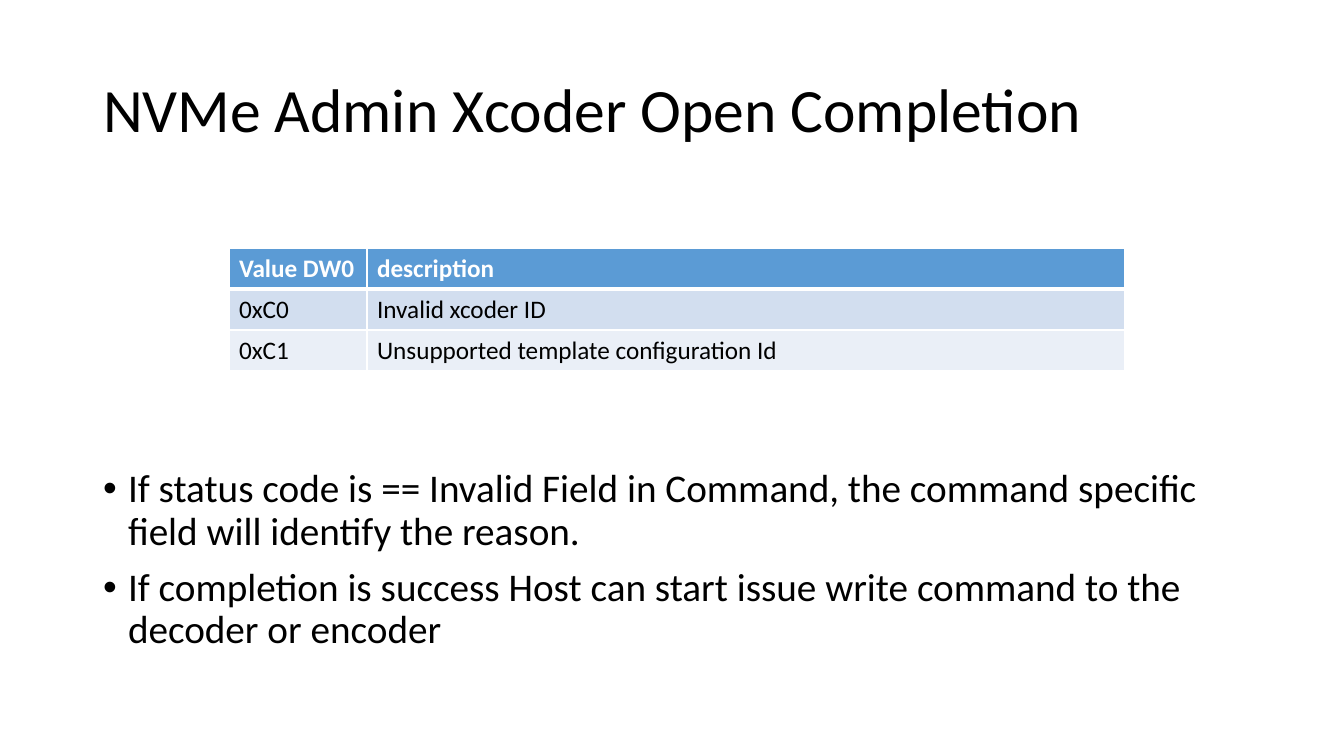
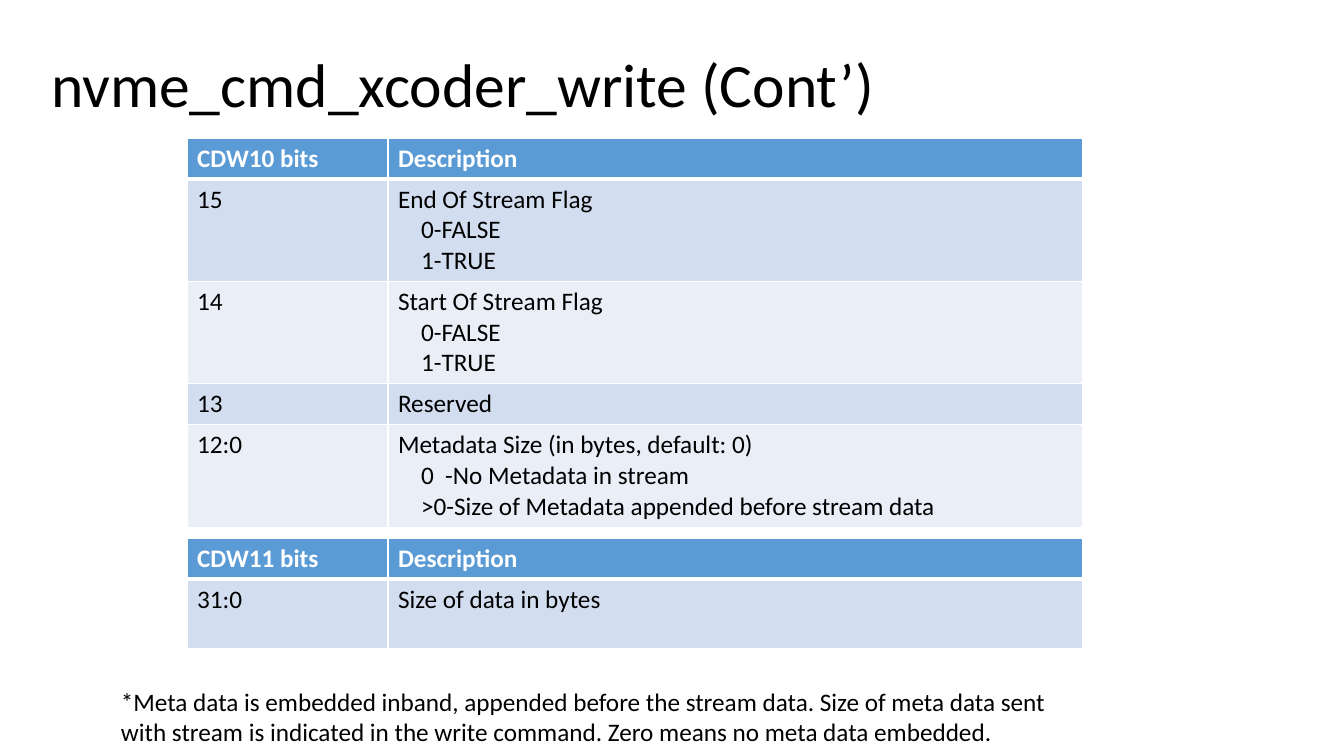
from lxml.etree import SubElement
from pptx import Presentation
from pptx.dml.color import RGBColor
from pptx.enum.text import MSO_ANCHOR, MSO_AUTO_SIZE, PP_ALIGN
from pptx.oxml.ns import qn
from pptx.util import Pt

PX = 914400 / 100.8
COLORS = {"text": "000000", "white": "FFFFFF", "header": "5B9BD5",
          "band_dark": "D2DEEF", "band_light": "EAEFF7"}
FONT = "Calibri"
TITLE_SIZE, BODY_SIZE, SMALL_SIZE = 44, 28, 18
BULLET_INDENT, CELL_INDENT = 25, 23
THIN, THICK = 1, 3


def px(n):
    return round(n * PX)


def rgb(name):
    return RGBColor.from_string(COLORS[name])


def style(p, size, color="text", bold=False):
    for r in p.runs:
        r.font.name, r.font.size, r.font.bold = FONT, Pt(size), bold
        r.font.color.rgb = rgb(color)


def place(shape, box):
    shape.left, shape.top, shape.width, shape.height = map(px, box)


def add_title(s, box, text):
    title = s.shapes.title
    place(title, box)
    tf = title.text_frame
    tf.text = text
    tf.auto_size = MSO_AUTO_SIZE.NONE
    tf.vertical_anchor = MSO_ANCHOR.MIDDLE
    p = tf.paragraphs[0]
    p.alignment, p.line_spacing = PP_ALIGN.LEFT, 0.9
    style(p, TITLE_SIZE)


def add_bullets(s, box, lines):
    body = s.placeholders[1]
    place(body, box)
    tf = body.text_frame
    tf.text = "\n".join(lines)
    tf.auto_size = MSO_AUTO_SIZE.NONE
    for p in tf.paragraphs:
        p.line_spacing, p.space_before = 0.9, Pt(10)
        pPr = p._p.get_or_add_pPr()
        pPr.set("marL", str(px(BULLET_INDENT)))
        pPr.set("indent", str(-px(BULLET_INDENT)))
        style(p, BODY_SIZE)


def add_note(s, box, text):
    tf = s.shapes.add_textbox(*map(px, box)).text_frame
    tf.word_wrap = True
    tf.text = text
    style(tf.paragraphs[0], SMALL_SIZE)


def set_borders(cell, top, bottom):
    tcPr = cell._tc.get_or_add_tcPr()
    for side, width in (("L", THIN), ("R", THIN), ("T", top), ("B", bottom)):
        ln = SubElement(tcPr, qn(f"a:ln{side}"), w=str(Pt(width)))
        fill = SubElement(ln, qn("a:solidFill"))
        SubElement(fill, qn("a:srgbClr"), val=COLORS["white"])


def fill_cell(cell, text, row):
    """Fill one cell; lines after the first are indented."""
    header = row == 0
    set_borders(cell, THICK if row == 1 else THIN, THICK if header else THIN)
    cell.fill.solid()
    band = "band_dark" if row % 2 else "band_light"
    cell.fill.fore_color.rgb = rgb("header" if header else band)
    cell.text_frame.text = text
    for i, p in enumerate(cell.text_frame.paragraphs):
        if i:
            p._p.get_or_add_pPr().set("marL", str(px(CELL_INDENT)))
        style(p, SMALL_SIZE, "white" if header else "text", header)


def add_bit_table(s, left, top, widths, heights, rows):
    frame = s.shapes.add_table(len(rows), len(widths), px(left), px(top),
                               px(sum(widths)), px(sum(heights)))
    table = frame.table
    table.horz_banding = False
    for col, width in zip(table.columns, widths):
        col.width = px(width)
    for i, (height, texts) in enumerate(zip(heights, rows)):
        table.rows[i].height = px(height)
        for j, text in enumerate(texts):
            fill_cell(table.cell(i, j), text, i)


def completion_slide(prs):
    s = prs.slides.add_slide(prs.slide_layouts[1])
    add_title(s, (93, 40, 1159, 146), "NVMe Admin Xcoder Open Completion")
    add_bullets(s, (93, 464, 1159, 218), [
        "If status code is == Invalid Field in Command, the command specific "
        "field will identify the reason.",
        "If completion is success Host can start issue write command to the "
        "decoder or encoder"])
    add_bit_table(s, 229, 248, (138, 758), (41, 41, 41), [
        ("Value DW0", "description"),
        ("0xC0", "Invalid xcoder ID"),
        ("0xC1", "Unsupported template configuration Id")])


def write_slide(prs):
    s = prs.slides.add_slide(prs.slide_layouts[5])
    add_title(s, (41, 15, 1159, 146), "nvme_cmd_xcoder_write (Cont’)")
    left, widths = 187, (201, 695)
    flag = "{} Of Stream Flag\n0-FALSE\n1-TRUE"
    add_bit_table(s, left, 138, widths, (41, 102, 102, 41, 102), [
        ("CDW10 bits", "Description"),
        ("15", flag.format("End")),
        ("14", flag.format("Start")),
        ("13", "Reserved"),
        ("12:0", "Metadata Size (in bytes, default: 0)\n"
                 "0  -No Metadata in stream\n"
                 ">0-Size of Metadata appended before stream data")])
    add_bit_table(s, left, 538, widths, (41, 70), [
        ("CDW11 bits", "Description"),
        ("31:0", "Size of data in bytes")])
    add_note(s, (111, 681, 990, 75),
             "*Meta data is embedded inband, appended before the stream data. "
             "Size of meta data sent with stream is indicated in the write "
             "command. Zero means no meta data embedded.")


prs = Presentation()
prs.slide_width, prs.slide_height = px(1344), px(756)
completion_slide(prs)
write_slide(prs)
prs.save("out.pptx")
